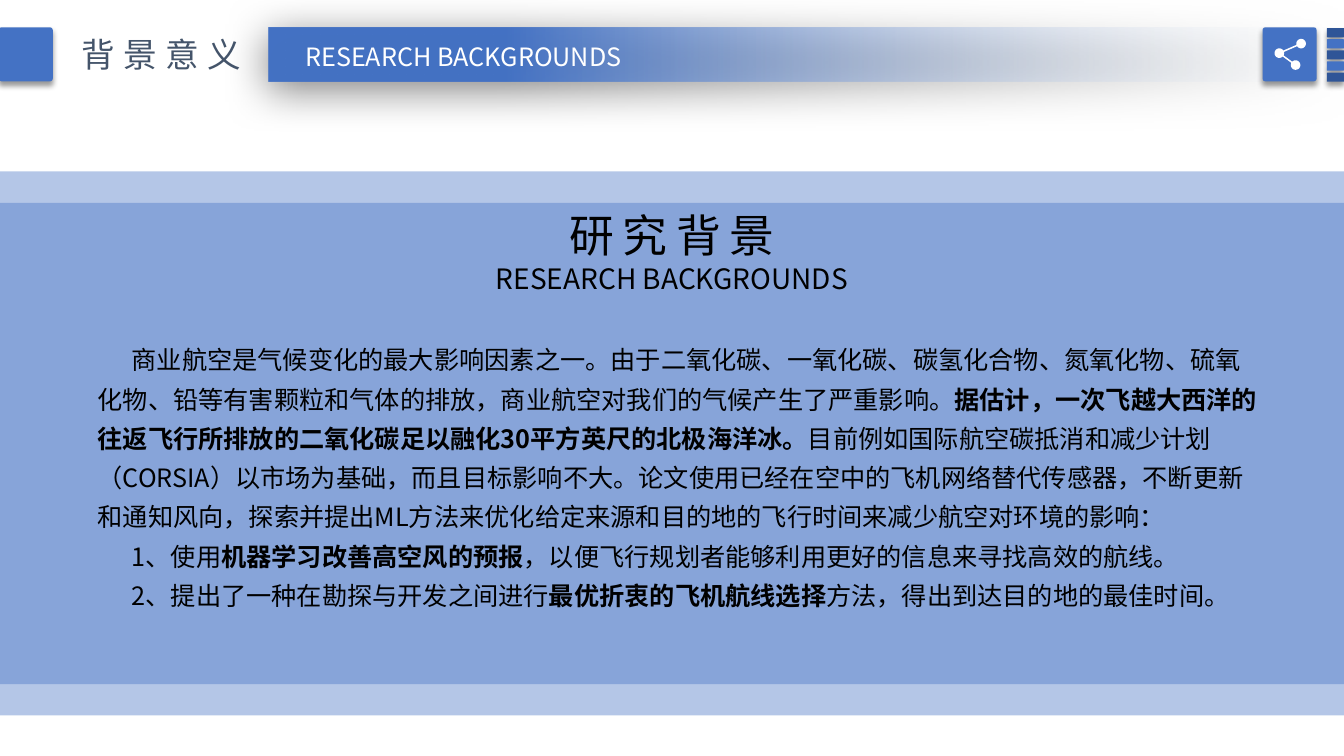
from math import atan2, cos, degrees, radians, sin

from lxml import etree
from pptx import Presentation
from pptx.dml.color import RGBColor
from pptx.enum.shapes import MSO_SHAPE as Shape
from pptx.enum.text import MSO_AUTO_SIZE as AutoSize, PP_ALIGN as Align
from pptx.oxml.ns import qn
from pptx.util import Cm, Pt

# Content: each paragraph is a list of (text, bold) runs
SECTION = "背景意义"
SECTION_EN = "RESEARCH BACKGROUNDS"
TITLE = "研究背景"
BODY = [
    [("商业航空是气候变化的最大影响因素之一。由于二氧化碳、一氧化碳、碳氢化合物、氮氧化物、"
      "硫氧化物、铅等有害颗粒和气体的排放，商业航空对我们的气候产生了严重影响。", False),
     ("据估计，一次飞越大西洋的往返飞行所排放的二氧化碳足以融化30平方英尺的北极海洋冰。", True),
     ("目前例如国际航空碳抵消和减少计划（CORSIA）以市场为基础，而且目标影响不大。"
      "论文使用已经在空中的飞机网络替代传感器，不断更新和通知风向，"
      "探索并提出ML方法来优化给定来源和目的地的飞行时间来减少航空对环境的影响：", False)],
    [("1、使用", False), ("机器学习改善高空风的预报", True),
     ("，以便飞行规划者能够利用更好的信息来寻找高效的航线。", False)],
    [("2、提出了一种在勘探与开发之间进行", False), ("最优折衷的飞机航线选择", True),
     ("方法，得出到达目的地的最佳时间。", False)],
]

COLORS = {"blue": "4472C4", "navy": "2F5597", "slate": "44546A", "pale": "F7FAFD",
          "white": "FFFFFF", "black": "000000"}
FONT = "Noto Sans CJK SC"

# Layout in centimetres
WIDTH, HEIGHT = 33.86, 19.05
BAND_TOPS, BAND_HEIGHT = (5.11, 4.32), 12.92
TILE_TOP, TILE_SIZE, TILE_LEFTS = 0.69, 1.36, (-0.03, 31.81)
STRIPE_LEFT, STRIPE_TOP, STRIPE_STEP, STRIPE_COUNT = 33.43, 0.71, 0.28, 5
STRIPE_WIDTH, STRIPE_HEIGHT = 0.43, 0.23
NODE_HUB, NODE_TOP, NODE_LOW = (32.23, 1.34), (32.78, 1.1), (32.64, 1.64)
NODE_RADIUS, LINK_HALF_ANGLE = 0.12, 9

prs = Presentation()
prs.slide_width, prs.slide_height = Cm(WIDTH), Cm(HEIGHT)
slide = prs.slides.add_slide(prs.slide_layouts[6])


def rgb(name):
    return RGBColor.from_string(COLORS[name])


def set_alpha(color_element, percent):
    etree.SubElement(color_element, qn("a:alpha")).set("val", str(percent * 1000))


def add_shadow(shape, opacity, blur, distance, angle):
    effects = shape._element.spPr.find(qn("a:effectLst"))
    shadow = etree.SubElement(effects, qn("a:outerShdw"), blurRad=str(Pt(blur)),
                              dist=str(Pt(distance)), dir=str(angle * 60000),
                              algn="ctr", rotWithShape="0")
    color = etree.SubElement(shadow, qn("a:srgbClr"), val=COLORS["black"])
    set_alpha(color, opacity)


def add_block(kind, left, top, width, height, color):
    block = slide.shapes.add_shape(kind, Cm(left), Cm(top), Cm(width), Cm(height))
    block.shadow.inherit = False
    block.line.fill.background()
    block.fill.solid()
    block.fill.fore_color.rgb = rgb(color)
    return block


def add_tile(left, top, width, height, color):
    tile = add_block(Shape.ROUNDED_RECTANGLE, left, top, width, height, color)
    tile.adjustments[0] = 0.05
    add_shadow(tile, 40, 4, 3, 90)


def add_text(left, top, width, height, wrap):
    frame = slide.shapes.add_textbox(Cm(left), Cm(top), Cm(width), Cm(height)).text_frame
    frame.word_wrap = wrap
    frame.auto_size = AutoSize.SHAPE_TO_FIT_TEXT
    return frame


def style(paragraph, size, color, align=Align.LEFT, spacing=0):
    paragraph.alignment = align
    font = paragraph.font
    font.size, font.name, font.color.rgb = Pt(size), FONT, rgb(color)
    font._element.set("spc", str(spacing * 100))
    etree.SubElement(font._element, qn("a:ea"), typeface=FONT)


def arc(center, start, end, steps=24):
    angles = [radians(start + (end - start) * i / steps) for i in range(steps + 1)]
    return [(center[0] + NODE_RADIUS * cos(a), center[1] + NODE_RADIUS * sin(a))
            for a in angles]


def bearing(start, end):
    return degrees(atan2(end[1] - start[1], end[0] - start[0]))


# Background bands
for top in BAND_TOPS:
    band = add_block(Shape.RECTANGLE, 0, top, WIDTH, BAND_HEIGHT, "blue")
    set_alpha(band._element.spPr.find(qn("a:solidFill"))[0], 40)

# Header bar fading out to the right
bar = add_block(Shape.RECTANGLE, 6.78, 0.7, 27.08, 1.35, "blue")
bar.fill.gradient()
bar.fill.gradient_angle = 180
for stop, (position, color) in zip(bar.fill.gradient_stops, ((0, "pale"), (0.78, "blue"))):
    stop.position, stop.color.rgb = position, rgb(color)
set_alpha(bar._element.spPr.find(".//" + qn("a:srgbClr")), 0)
add_shadow(bar, 50, 31, 6, 97)

# Header tiles and stripes
for left in TILE_LEFTS:
    add_tile(left, TILE_TOP, TILE_SIZE, TILE_SIZE, "blue")
for i in range(STRIPE_COUNT):
    add_tile(STRIPE_LEFT, STRIPE_TOP + i * STRIPE_STEP, STRIPE_WIDTH, STRIPE_HEIGHT,
             "blue" if i % 2 else "navy")

# Share icon: one outline around the hub and its two linked nodes
gap = LINK_HALF_ANGLE
up, down = bearing(NODE_HUB, NODE_TOP), bearing(NODE_HUB, NODE_LOW)
outline = (arc(NODE_HUB, down + gap, up + 360 - gap)
           + arc(NODE_TOP, up + 180 + gap, up + 540 - gap)
           + arc(NODE_HUB, up + gap, down - gap)
           + arc(NODE_LOW, down + 180 + gap, down + 540 - gap))
points = [(Cm(x), Cm(y)) for x, y in outline]
builder = slide.shapes.build_freeform(*points[0])
builder.add_line_segments(points[1:], close=True)
share = builder.convert_to_shape()
share.shadow.inherit = False
share.line.fill.background()
share.fill.solid()
share.fill.fore_color.rgb = rgb("white")

# Header texts
section = add_text(1.8, 0.74, 4.75, 1.27, False)
section.text = SECTION
style(section.paragraphs[0], 24, "slate", spacing=6)
section_en = add_text(6.99, 0.91, 9.37, 1.07, False)
section_en.text = SECTION_EN
style(section_en.paragraphs[0], 18, "white", Align.CENTER)

# Title
title = add_text(4.65, 5.11, 24.56, 2.46, True)
title.text = f"{TITLE}\n{SECTION_EN}"
style(title.paragraphs[0], 32, "black", Align.CENTER, 6)
style(title.paragraphs[1], 20, "black", Align.CENTER)

# Body
body = add_text(2.21, 8.33, 29.92, 8.26, True)
for i, runs in enumerate(BODY):
    paragraph = body.add_paragraph() if i else body.paragraphs[0]
    paragraph.line_spacing = 1.3
    style(paragraph, 18, "black")
    paragraph._p.get_or_add_pPr().set("indent", str(Cm(0.86)))
    for text, bold in runs:
        run = paragraph.add_run()
        run.text, run.font.bold = text, bold

prs.save("out.pptx")
